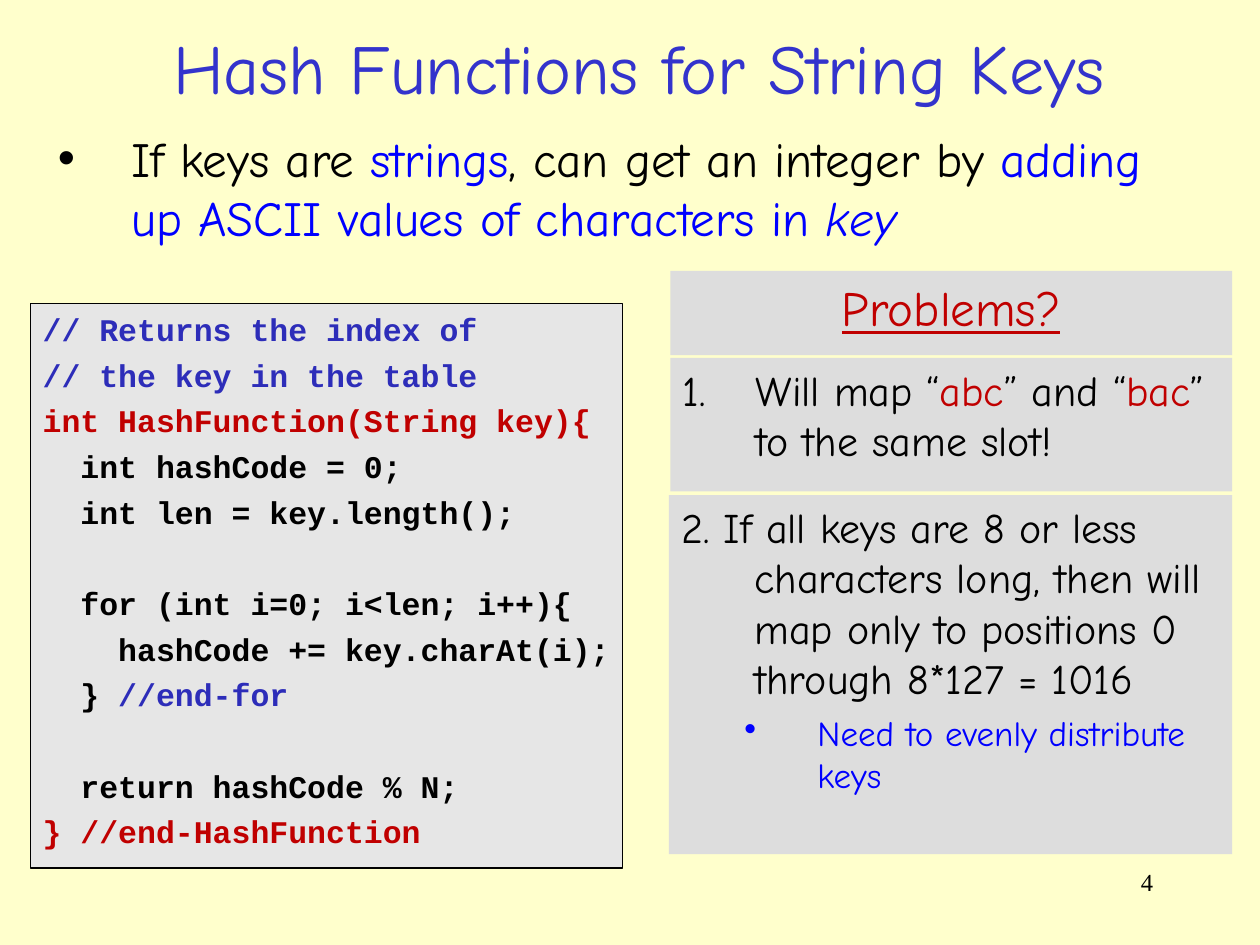
from dataclasses import dataclass

from lxml import etree
from pptx import Presentation
from pptx.dml.color import RGBColor
from pptx.enum.shapes import MSO_SHAPE
from pptx.enum.text import MSO_ANCHOR, MSO_AUTO_SIZE, PP_ALIGN
from pptx.oxml.ns import qn
from pptx.util import Inches, Pt

RECT = MSO_SHAPE.RECTANGLE
TOP, MIDDLE = MSO_ANCHOR.TOP, MSO_ANCHOR.MIDDLE
LEFT, CENTER, RIGHT = PP_ALIGN.LEFT, PP_ALIGN.CENTER, PP_ALIGN.RIGHT
FIXED = MSO_AUTO_SIZE.NONE


@dataclass(frozen=True)
class Theme:
    # Colours
    paper: str = "FFFFCC"
    panel: str = "DDDDDD"
    listing: str = "E6E6E6"
    ink: str = "000000"
    title: str = "3333CC"
    blue: str = "0000FF"
    note: str = "2D2DB9"
    red: str = "C00000"
    # Fonts
    hand: str = "Comic Neue"
    mono: str = "Courier New"
    serif: str = "Times New Roman"
    # Type sizes
    head: int = 40
    lead: int = 28
    text: int = 24
    sub: int = 20
    code: int = 18
    page: int = 14
    # Line pitch per point of type, and hanging indent in inches
    pitch: float = 1.2
    hang: float = 0.58


T = Theme()

# Code lines: indent level, gap line before, runs
CODE = [
    (0, False, [("// Returns the index of", T.note)]),
    (0, False, [("// the key in the table", T.note)]),
    (0, False, [("int HashFunction(String key){", T.red)]),
    (1, False, [("int hashCode = 0;", T.ink)]),
    (1, False, [("int len = key.length();", T.ink)]),
    (1, True, [("for (int i=0; i<len; i++){", T.ink)]),
    (2, False, [("hashCode += key.charAt(i);", T.ink)]),
    (1, False, [("} ", T.ink), ("//end-for", T.note)]),
    (1, True, [("return hashCode % N;", T.ink)]),
    (0, False, [("} //end-HashFunction", T.red)]),
]


def rgb(code):
    return RGBColor.from_string(code)


def place(shape, box):
    for name, value in zip(("left", "top", "width", "height"), box):
        setattr(shape, name, Inches(value))


def set_frame(shape, anchor=TOP, right=0.1):
    frame = shape.text_frame
    form = {
        "word_wrap": True, "auto_size": FIXED, "vertical_anchor": anchor,
        "margin_left": Inches(0.1), "margin_right": Inches(right),
        "margin_top": Inches(0.05), "margin_bottom": Inches(0.05),
    }
    for name, value in form.items():
        setattr(frame, name, value)
    return frame


def set_bullet(para, mark, color):
    props = para._p.get_or_add_pPr()
    if mark is None:
        etree.SubElement(props, qn("a:buNone"))
        return
    tint = etree.SubElement(props, qn("a:buClr"))
    etree.SubElement(tint, qn("a:srgbClr"), val=color)
    if mark == "1.":
        etree.SubElement(props, qn("a:buAutoNum"), type="arabicPeriod")
    else:
        etree.SubElement(props, qn("a:buChar"), char=mark)


def add_para(frame, runs, size, font=T.hand, align=LEFT, before=0,
             margin=0, indent=0, mark=None, level=0):
    """Write runs of (text, colour, extra font values) as one paragraph."""
    first = frame.paragraphs[0]
    para = frame.add_paragraph() if first.runs else first
    form = {
        "alignment": align, "level": level, "space_before": Pt(before),
        "space_after": Pt(0), "line_spacing": Pt(round(size * T.pitch, 1)),
    }
    for name, value in form.items():
        setattr(para, name, value)
    props = para._p.get_or_add_pPr()
    props.set("marL", str(Inches(margin)))
    props.set("indent", str(Inches(indent)))
    set_bullet(para, mark, runs[0][1])
    for text, color, *extra in runs:
        run = para.add_run()
        run.text = text
        run.font.color.rgb = rgb(color)
        look = {"name": font, "size": Pt(size), "bold": False}
        for values in (look, *extra):
            for name, value in values.items():
                setattr(run.font, name, value)


def add_panel(slide, box, fill, line=None, right=0.1):
    shape = slide.shapes.add_shape(RECT, *map(Inches, box))
    shape.shadow.inherit = False
    shape.fill.solid()
    shape.fill.fore_color.rgb = rgb(fill)
    if line:
        shape.line.color.rgb = rgb(line)
        shape.line.width = Pt(0.75)
    else:
        shape.line.fill.background()
    return set_frame(shape, right=right)


def add_code(slide):
    frame = add_panel(slide, (0.24, 2.41, 4.7, 4.48), T.listing, T.ink, 0.05)
    gap = 4.5
    skip = 2 * gap + T.code * T.pitch
    for depth, space, runs in CODE:
        styled = [(text, color, {"bold": True}) for text, color in runs]
        add_para(frame, styled, T.code, T.mono,
                 before=skip if space else gap, margin=0.3 * depth)


def add_issues(slide):
    hang = {"margin": T.hang, "indent": -T.hang}
    # Heading
    frame = add_panel(slide, (5.32, 2.15, 4.46, 0.67), T.panel)
    add_para(frame, [("Problems?", T.red, {"underline": True})], T.lead,
             align=CENTER, before=7)
    # First problem
    frame = add_panel(slide, (5.32, 2.84, 4.46, 1.06), T.panel)
    add_para(frame, [("Will map “", T.ink), ("abc", T.red),
                     ("” and “", T.ink), ("bac", T.red),
                     ("” to the same slot!", T.ink)],
             T.text, before=6, mark="1.", **hang)
    # Second problem
    frame = add_panel(slide, (5.31, 3.93, 4.47, 2.85), T.panel)
    add_para(frame, [("2. If all keys are 8 or less characters long, then "
                      "will map only to positions 0 through 8*127 = 1016",
                      T.ink)], T.text, before=6, **hang)
    add_para(frame, [("Need to evenly distribute keys", T.blue)], T.sub,
             before=5, margin=T.hang + 0.5, indent=-T.hang, mark="•", level=1)


def main():
    deck = Presentation()
    deck.slide_width, deck.slide_height = Inches(10), Inches(7.5)
    slide = deck.slides.add_slide(deck.slide_layouts[1])
    back = slide.background.fill
    back.solid()
    back.fore_color.rgb = rgb(T.paper)

    # Title and lead point
    title, body = slide.placeholders
    place(title, (0.3, 0.15, 9.54, 0.76))
    add_para(set_frame(title, MIDDLE),
             [("Hash Functions for String Keys", T.title)], T.head,
             align=CENTER)
    place(body, (0.36, 0.97, 9.18, 1.27))
    add_para(set_frame(body),
             [("If keys are ", T.ink), ("strings", T.blue),
              (", can get an integer by ", T.ink),
              ("adding up ASCII values of characters in ", T.blue),
              ("key", T.blue, {"italic": True})],
             T.lead, before=7, margin=T.hang, indent=-T.hang, mark="•")

    # Code and its problems
    add_code(slide)
    add_issues(slide)

    # Page number
    page = slide.shapes.add_textbox(*map(Inches, (7.17, 6.83, 2.08, 0.5)))
    add_para(set_frame(page), [("4", T.ink)], T.page, T.serif, RIGHT)
    deck.save("out.pptx")


if __name__ == "__main__":
    main()
